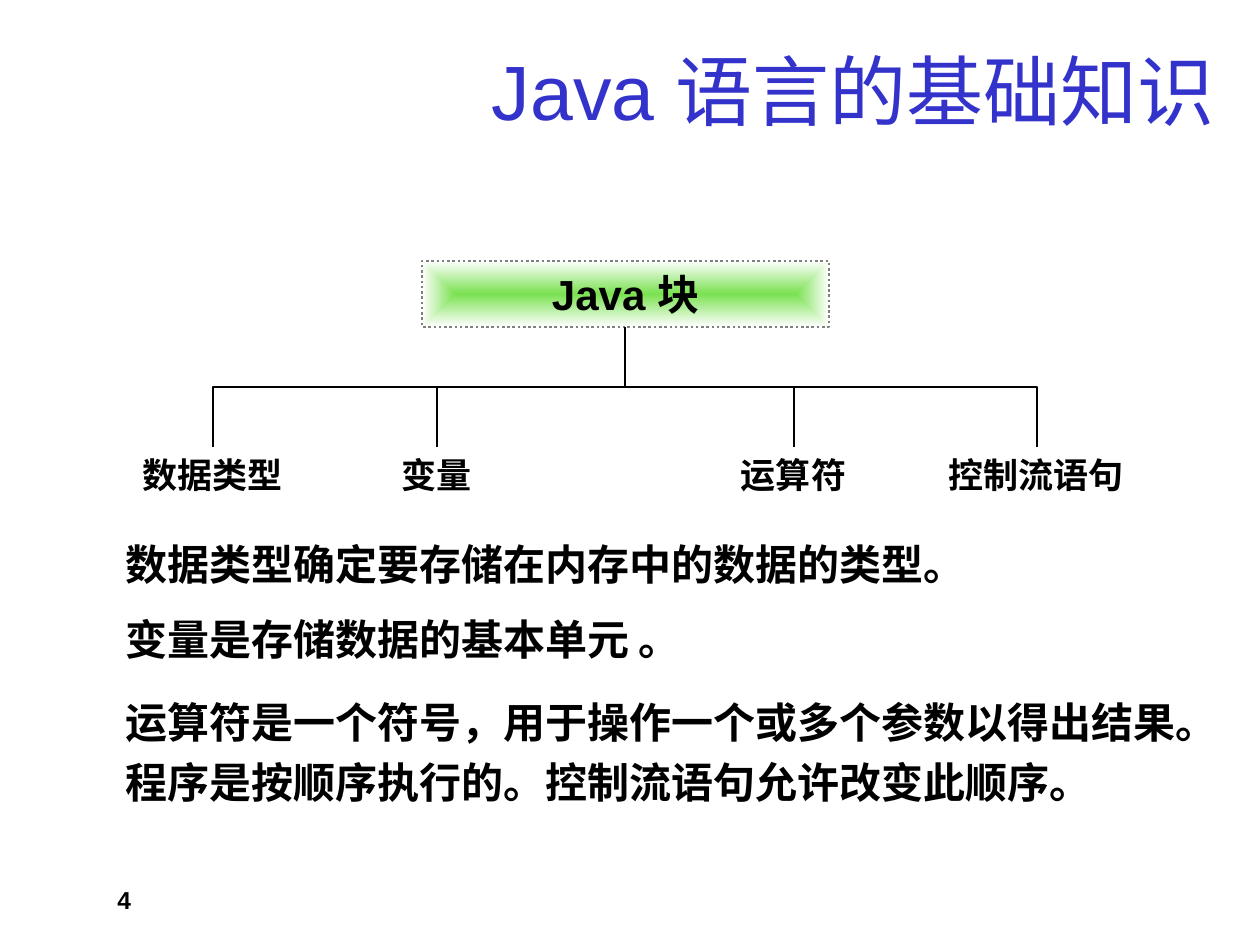
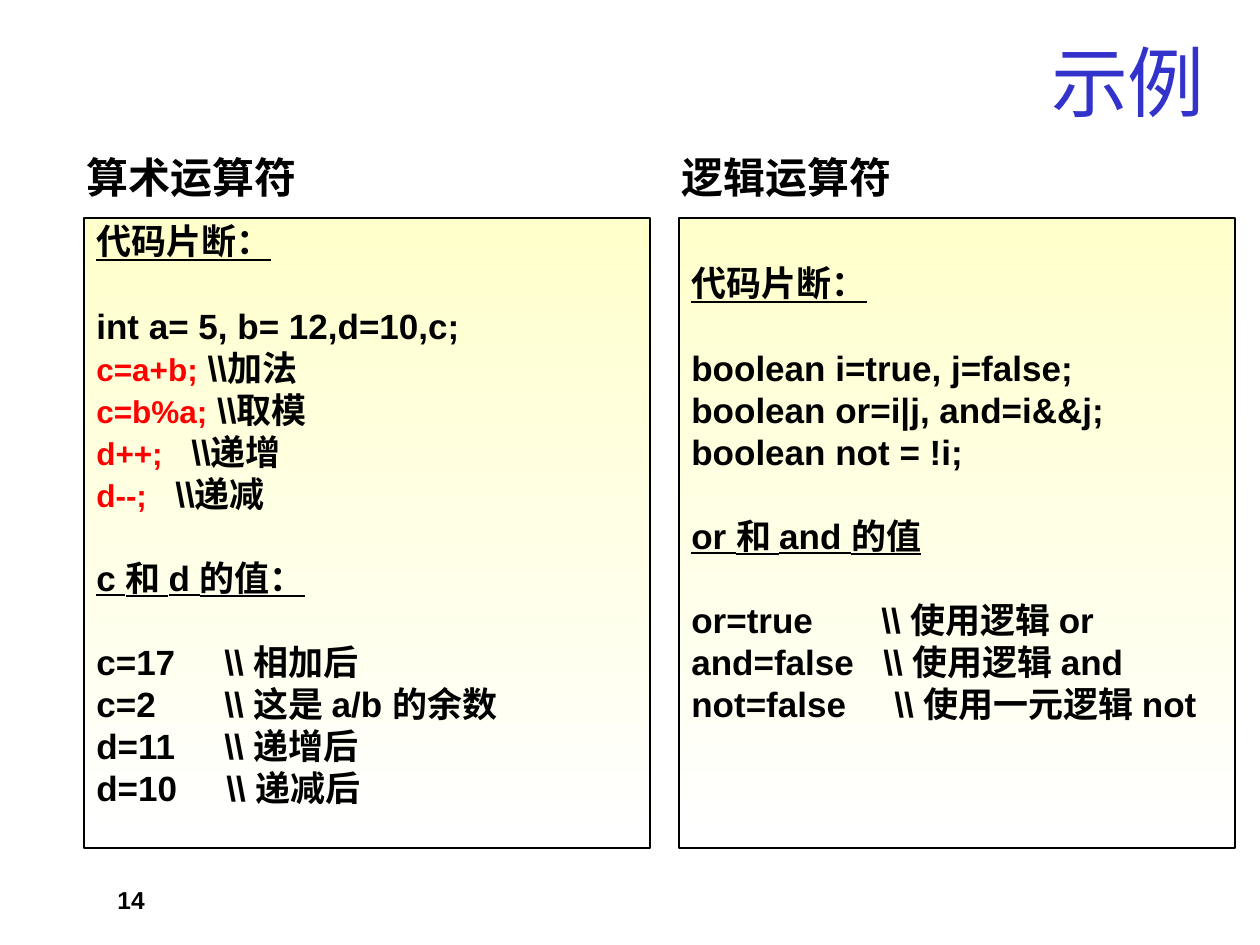
from lxml import etree
from pptx import Presentation
from pptx import util as u
from pptx.dml.color import RGBColor
from pptx.enum import dml, shapes, text
from pptx.oxml.ns import qn

PIXELS_PER_INCH = 126
FONT = "Arial"
BLACK = RGBColor(0x00, 0x00, 0x00)
WHITE = RGBColor(0xFF, 0xFF, 0xFF)
TITLE_BLUE = RGBColor(0x33, 0x33, 0xCC)
GREEN = RGBColor(0x7A, 0xE1, 0x51)
GREY = RGBColor(0x80, 0x80, 0x80)
CREAM = RGBColor(0xFF, 0xFF, 0xCC)
RED = RGBColor(0xFF, 0x00, 0x00)
LINE_PITCH = u.Pt(24)

# Branch of the tree: label, label left, label width, x of the line above it
BRANCHES = [
    ("数据类型", 94, 238, 213),
    ("变量", 382, 110, 437),
    ("运算符", 709, 169, 794),
    ("控制流语句", 907, 258, 1037),
]
# Explanation: wording, top, width
EXPLANATIONS = [
    ("数据类型确定要存储在内存中的数据的类型。", 532, 942),
    ("变量是存储数据的基本单元 。", 607, 605),
    ("运算符是一个符号，用于操作一个或多个参数以得出结果。", 690, 1121),
    ("程序是按顺序执行的。控制流语句允许改变此顺序。", 750, 1081),
]
# Code line: statement, rest of the line, style, tab stop
ARITHMETIC_CODE = [
    ("", "代码片断：", "heading", 0),
    ("", "int a= 5, b= 12,d=10,c;", "after gap", 0),
    ("c=a+b;", r" \\加法", "", 0),
    ("c=b%a;", r" \\取模", "", 0),
    ("d++;", "\t" + r"\\递增", "", 95),
    ("d--;", "\t" + r"\\递减", "", 79),
    ("", "c 和 d 的值：", "heading", 0),
    ("", "c=17\t" + r"\\ 相加后", "after gap", 128),
    ("", "c=2\t" + r"\\ 这是 a/b 的余数", "", 128),
    ("", "d=11\t" + r"\\ 递增后", "", 128),
    ("", "d=10\t" + r"\\ 递减后", "", 130),
]
LOGIC_CODE = [
    ("", "代码片断：", "heading", 0),
    ("", "boolean i=true, j=false;", "after gap", 0),
    ("", "boolean or=i|j, and=i&&j;", "", 0),
    ("", "boolean not = !i;", "", 0),
    ("", "or 和 and 的值", "heading", 0),
    ("", "or=true\t" + r"\\ 使用逻辑 or", "after gap", 190),
    ("", "and=false\t" + r"\\ 使用逻辑 and", "", 192),
    ("", "not=false\t" + r"\\ 使用一元逻辑 not", "", 203),
]


def px(length):
    """Turn pixels into EMU."""
    return u.Emu(round(length * u.Inches(1) / PIXELS_PER_INCH))


def style_span(span, size, color=BLACK, bold=True, underline=False):
    """Set the font of one run."""
    span.font.name = FONT
    span.font.size = u.Pt(size)
    span.font.color.rgb = color
    span.font.bold = bold
    if underline:
        span.font.underline = True


def write_line(box, words, size, align=text.PP_ALIGN.LEFT, **style):
    """Fill a box with one formatted line."""
    frame = box.text_frame
    frame.text = words
    frame.word_wrap = True
    para = frame.paragraphs[0]
    para.alignment = align
    for span in para.runs:
        style_span(span, size, **style)


def add_label(page, words, left, top, width, height, size,
              align=text.PP_ALIGN.LEFT):
    """Add a text box with one bold line."""
    box = page.shapes.add_textbox(px(left), px(top), px(width), px(height))
    write_line(box, words, size, align)


def add_page(deck, title, left, top, width, number):
    """Add a slide with its right-aligned title and page number."""
    page = deck.slides.add_slide(deck.slide_layouts.get_by_name("Title Only"))
    box = page.shapes.title
    box.left, box.top, box.width, box.height = map(px, (left, top, width, 110))
    write_line(box, title, 44, text.PP_ALIGN.RIGHT, color=TITLE_BLUE, bold=False)
    box.text_frame.vertical_anchor = text.MSO_ANCHOR.MIDDLE
    box.text_frame.auto_size = text.MSO_AUTO_SIZE.NONE
    add_label(page, number, 105, 879, 294, 30, 14)
    return page


def add_gradient_box(page, left, top, width, height, color, line_color, line_width):
    """Add a rectangle that fades downwards from a colour to white."""
    box = page.shapes.add_shape(shapes.MSO_SHAPE.RECTANGLE,
                                px(left), px(top), px(width), px(height))
    box.shadow.inherit = False
    box.fill.gradient()
    box.fill.gradient_angle = 270
    for stop, shade in zip(box.fill.gradient_stops, (color, WHITE)):
        stop.color.rgb = shade
    box.line.color.rgb = line_color
    box.line.width = u.Pt(line_width)
    return box


def fade_from_centre(box):
    """Let the gradient of a box run from its centre to its edges."""
    gradient = box.element.spPr.find(qn("a:gradFill"))
    gradient.remove(gradient.find(qn("a:lin")))
    route = etree.SubElement(gradient, qn("a:path"), path="shape")
    etree.SubElement(route, qn("a:fillToRect"),
                     {side: "50000" for side in "ltrb"})


def add_branch(page, start_x, start_y, end_x, end_y):
    """Add an elbow connector that leaves downwards and arrives downwards."""
    drop, spread = end_y - start_y, abs(end_x - start_x)
    left = (start_x + end_x - drop) / 2
    top = (start_y + end_y - spread) / 2
    line = page.shapes.add_connector(shapes.MSO_CONNECTOR.ELBOW, px(left), px(top),
                                     px(left + drop), px(top + spread))
    frame = line.element.spPr.find(qn("a:xfrm"))
    if end_x < start_x:
        frame.set("rot", "5400000")
    else:
        frame.set("rot", "16200000")
        frame.set("flipH", "1")
    line.line.color.rgb = BLACK
    line.line.width = u.Pt(0.75)
    etree.SubElement(line.element.spPr, qn("a:effectLst"))


def set_tab(para, position):
    """Give a paragraph one left tab stop."""
    tabs = etree.SubElement(para._p.get_or_add_pPr(), qn("a:tabLst"))
    etree.SubElement(tabs, qn("a:tab"), pos=str(px(position)), algn="l")


def add_code(page, left, width, lines, margin_top):
    """Add a cream panel of code, with red statements and underlined headings."""
    box = add_gradient_box(page, left, 218, width, 630, CREAM, BLACK, 0.75)
    frame = box.text_frame
    frame.word_wrap = True
    frame.vertical_anchor = text.MSO_ANCHOR.TOP
    frame.margin_top, frame.margin_bottom = px(margin_top), 0
    for index, (statement, rest, style, tab) in enumerate(lines):
        para = frame.add_paragraph() if index else frame.paragraphs[0]
        para.alignment = text.PP_ALIGN.LEFT
        para.line_spacing = LINE_PITCH
        if index and style:
            para.space_before = LINE_PITCH
        if tab:
            set_tab(para, tab)
        if statement:
            span = para.add_run()
            span.text = statement
            style_span(span, 18, RED)
        span = para.add_run()
        span.text = rest
        style_span(span, 20, underline=style == "heading")


def build_basics(deck):
    """Build the tree of Java building blocks with its explanations."""
    page = add_page(deck, "Java 语言的基础知识", 94, 35, 1134, "4")
    root = add_gradient_box(page, 422, 261, 407, 66, GREEN, GREY, 1.5)
    fade_from_centre(root)
    root.line.dash_style = dml.MSO_LINE.ROUND_DOT
    write_line(root, "Java 块", 24, text.PP_ALIGN.CENTER)
    for words, left, width, line_x in BRANCHES:
        add_branch(page, 625, 327, line_x, 447)
        add_label(page, words, left, 447, width, 54, 20, text.PP_ALIGN.CENTER)
    for words, top, width in EXPLANATIONS:
        add_label(page, words, 113, top, width, 63, 24)


def build_examples(deck):
    """Build the two code panels with their headings."""
    page = add_page(deck, "示例 ", 382, 26, 853, "14")
    add_code(page, 84, 566, ARITHMETIC_CODE, 2)
    add_code(page, 679, 556, LOGIC_CODE, 44)
    for words, left in (("算术运算符", 74), ("逻辑运算符", 669)):
        add_label(page, words, left, 145, 417, 63, 24)


def main():
    """Build and save the deck."""
    deck = Presentation()
    deck.slide_width, deck.slide_height = px(1260), px(945)
    build_basics(deck)
    build_examples(deck)
    deck.save("out.pptx")


main()
